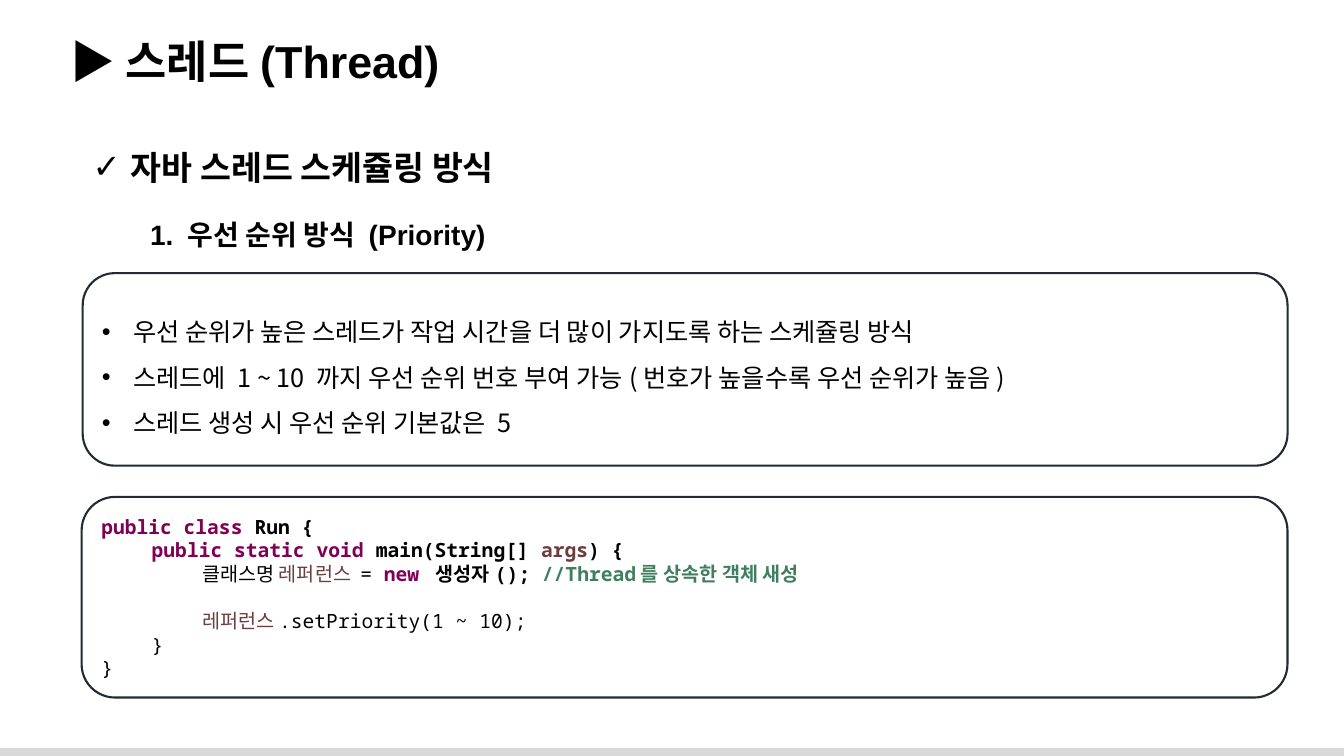
from dataclasses import dataclass

from lxml.etree import SubElement
from pptx import Presentation
from pptx.dml.color import RGBColor
from pptx.enum.shapes import MSO_SHAPE as Shape
from pptx.enum.text import MSO_ANCHOR as Anchor, MSO_AUTO_SIZE as AutoSize, PP_ALIGN as Align
from pptx.oxml.ns import qn
from pptx.util import Inches, Pt


@dataclass(frozen=True)
class Theme:
    """Colours, fonts and type sizes of the slide."""
    ink: str = "000000"
    outline: str = "222A35"
    footer: str = "D9D9D9"
    keyword: str = "7F0055"
    variable: str = "6A3E3E"
    comment: str = "3F7F5F"
    heading_font: str = "Arial"
    body_font: str = "Noto Sans CJK KR"
    code_font: str = "Noto Sans Mono"
    title_size: int = 32
    topic_size: int = 24
    method_size: int = 20
    body_size: int = 18
    code_size: int = 14


THEME = Theme()
CODE_INDENT = 0.39
CODE_LINE = 17

RULES = [
    "우선 순위가 높은 스레드가 작업 시간을 더 많이 가지도록 하는 스케쥴링 방식",
    "스레드에 1 ~ 10 까지 우선 순위 번호 부여 가능(번호가 높을수록 우선 순위가 높음)",
    "스레드 생성 시 우선 순위 기본값은 5",
]
INK, KEYWORD, VARIABLE = THEME.ink, THEME.keyword, THEME.variable
CODE = [
    (0, [("public class", KEYWORD, True), (" Run {", INK, True)]),
    (0, [("\tpublic static void", KEYWORD, True), (" main(String[] ", INK, True),
         ("args", VARIABLE, True), (") {", INK, True)]),
    (0, [("\t\t클래스명 ", INK, False), ("레퍼런스 ", VARIABLE, False), ("= ", INK, False),
         ("new ", KEYWORD, True), ("생성자(); ", INK, True),
         ("//Thread를 상속한 객체 새성", THEME.comment, True)]),
    (CODE_LINE, [("\t\t레퍼런스", VARIABLE, False), (".setPriority(1 ~ 10);", INK, False)]),
    (0, [("\t}", INK, False)]),
    (0, [("}", INK, False)]),
]


def place(shape, box):
    """Move a shape to a box given in inches."""
    shape.left, shape.top, shape.width, shape.height = map(Inches, box)


def prepare_frame(shape, anchor=Anchor.TOP, side=0.1):
    """Set wrapping, anchor and insets, and return the text frame."""
    frame = shape.text_frame
    frame.word_wrap = True
    frame.auto_size = AutoSize.NONE
    frame.vertical_anchor = anchor
    frame.margin_left = frame.margin_right = Inches(side)
    frame.margin_top = frame.margin_bottom = Inches(0.05)
    return frame


def write(paragraph, text, size, font=THEME.heading_font, color=THEME.ink, bold=False):
    """Add one formatted run to a paragraph."""
    run = paragraph.add_run()
    run.text = text
    run.font.size = Pt(size)
    run.font.bold = bold
    run.font.color.rgb = RGBColor.from_string(color)
    run.font.name = font
    SubElement(run.font._element, qn("a:ea"), typeface=THEME.body_font)


def format_paragraph(paragraph, bullet=None, indent=0, tabs=(), spacing=1.0, before=0):
    """Set the bullet, hanging indent, tab stops and spacing of a paragraph."""
    paragraph.alignment = Align.LEFT
    paragraph.line_spacing = spacing
    paragraph.space_before = Pt(before)
    paragraph.space_after = Pt(0)
    properties = paragraph._p.get_or_add_pPr()
    properties.set("marL", str(Inches(indent)))
    properties.set("indent", str(-Inches(indent)))
    if bullet:
        SubElement(properties, qn("a:buFont"), typeface=THEME.heading_font)
        SubElement(properties, qn("a:buChar"), char=bullet)
    if tabs:
        stops = SubElement(properties, qn("a:tabLst"))
        for stop in tabs:
            SubElement(stops, qn("a:tab"), pos=str(Inches(stop)), algn="l")


def add_panel(slide, box):
    """Draw an outlined rounded panel."""
    panel = slide.shapes.add_shape(Shape.ROUNDED_RECTANGLE, *map(Inches, box))
    panel.shadow.inherit = False
    panel.fill.background()
    panel.line.color.rgb = RGBColor.from_string(THEME.outline)
    panel.line.width = Pt(1.5)
    return panel


def add_title(slide, box):
    """Fill the title placeholder."""
    title = slide.shapes.title
    place(title, box)
    paragraph = prepare_frame(title).paragraphs[0]
    format_paragraph(paragraph)
    write(paragraph, "▶ 스레드(Thread)", THEME.title_size, bold=True)


def add_heading(slide, box, text, size, **layout):
    """Add a bold heading line."""
    heading = slide.shapes.add_textbox(*map(Inches, box))
    paragraph = prepare_frame(heading).paragraphs[0]
    format_paragraph(paragraph, **layout)
    write(paragraph, text, size, bold=True)


def add_rules(slide, box):
    """Draw a panel with the bulleted rules in the body placeholder."""
    add_panel(slide, box)
    rules = slide.placeholders[1]
    place(rules, box)
    frame = prepare_frame(rules, Anchor.MIDDLE, side=0.19)
    for index, rule in enumerate(RULES):
        paragraph = frame.add_paragraph() if index else frame.paragraphs[0]
        format_paragraph(paragraph, bullet="•", indent=0.31, spacing=1.5)
        write(paragraph, rule, THEME.body_size, font=THEME.body_font)


def add_code(slide, box):
    """Draw a panel with the highlighted code."""
    frame = prepare_frame(add_panel(slide, box), Anchor.MIDDLE)
    for index, (before, pieces) in enumerate(CODE):
        paragraph = frame.add_paragraph() if index else frame.paragraphs[0]
        format_paragraph(paragraph, tabs=(CODE_INDENT, 2 * CODE_INDENT), before=before)
        for text, color, bold in pieces:
            write(paragraph, text, THEME.code_size, THEME.code_font, color, bold)


def add_footer(slide, box):
    """Draw the grey strip along the bottom edge."""
    strip = slide.shapes.add_shape(Shape.RECTANGLE, *map(Inches, box))
    strip.shadow.inherit = False
    strip.fill.solid()
    strip.fill.fore_color.rgb = RGBColor.from_string(THEME.footer)
    strip.line.fill.background()


def main():
    """Build the slide and save it."""
    deck = Presentation()
    deck.slide_width, deck.slide_height = Inches(13.33), Inches(7.5)
    slide = deck.slides.add_slide(deck.slide_layouts[1])
    add_footer(slide, (0, 7.42, 13.33, 0.08))
    add_title(slide, (0.6, 0.28, 12.6, 0.64))
    add_heading(slide, (0.82, 1.41, 4.64, 0.5), "자바 스레드 스케쥴링 방식",
                THEME.topic_size, bullet="✓", indent=0.38)
    add_heading(slide, (1.39, 2.11, 3.79, 0.44), "1. 우선 순위 방식 (Priority)",
                THEME.method_size)
    add_rules(slide, (0.82, 2.71, 11.95, 1.91))
    add_code(slide, (0.81, 4.93, 11.96, 1.99))
    deck.save("out.pptx")


if __name__ == "__main__":
    main()
